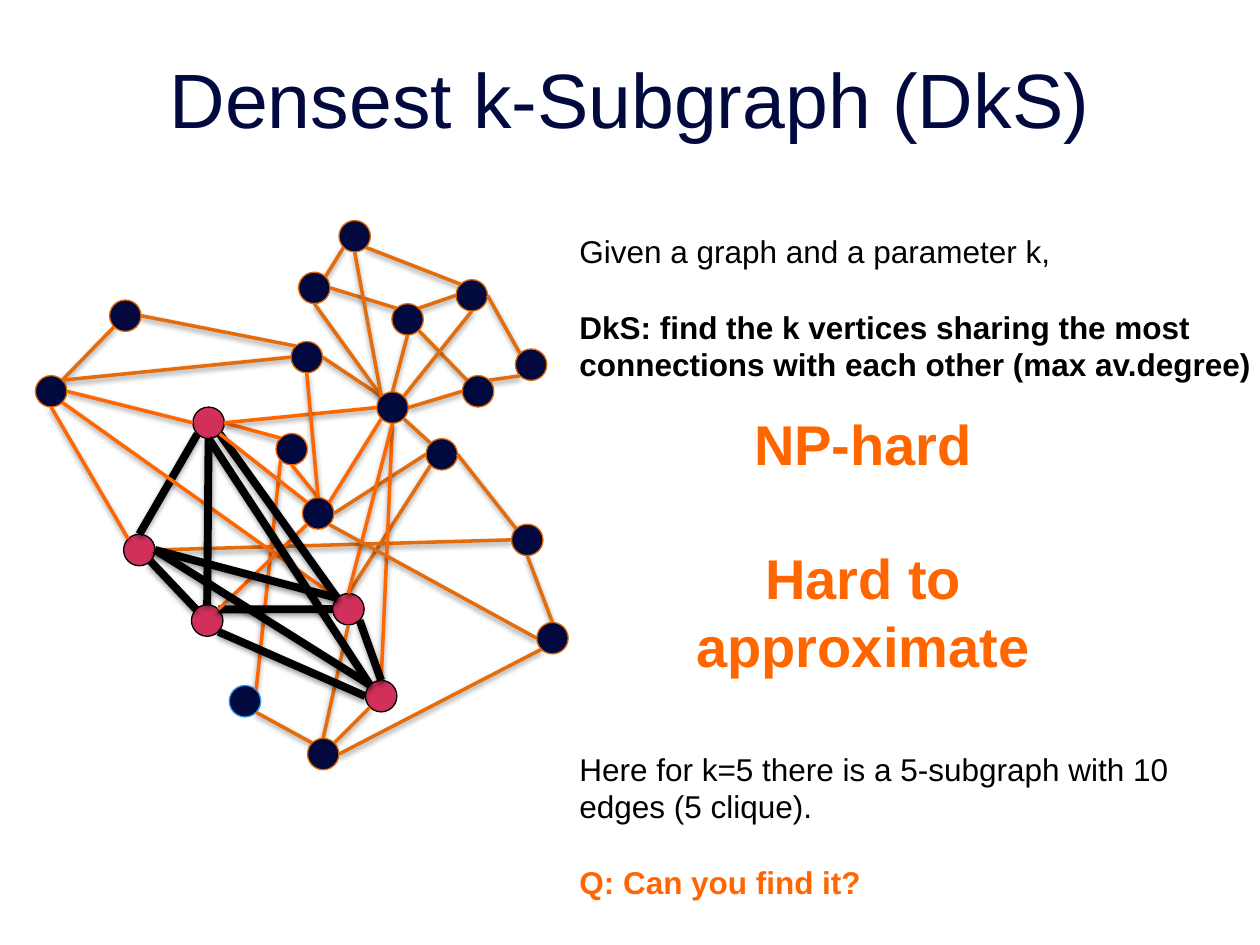
from math import sqrt

from lxml.etree import SubElement
from pptx import Presentation
from pptx.dml.color import RGBColor
from pptx.enum.shapes import MSO_CONNECTOR as Connector, MSO_SHAPE as Shape
from pptx.enum.text import MSO_ANCHOR as Anchor, PP_ALIGN as Align
from pptx.oxml.ns import qn
from pptx.util import Pt

NAVY, CRIMSON, BLACK = "02093F", "D1305A", "000000"
ORANGE, RUST, SKY = "FF6600", "E46C0A", "2E99EE"

RADIUS = 9
DIAGONAL = RADIUS / sqrt(2)
SITES = {
    "n": (0, -RADIUS), "s": (0, RADIUS), "w": (-RADIUS, 0), "e": (RADIUS, 0),
    "nw": (-DIAGONAL, -DIAGONAL), "ne": (DIAGONAL, -DIAGONAL),
    "sw": (-DIAGONAL, DIAGONAL), "se": (DIAGONAL, DIAGONAL),
}

# Vertex centres, in points
CENTRES = {
    "A": (119.2, 241.6), "B": (79.6, 314.3), "C": (118.4, 354.6),
    "D": (199.1, 348.1), "E": (217.8, 397.8), "F": (166.7, 256.7),
    "G": (181.8, 293.4), "H": (140, 400.7), "I": (29.2, 223.6),
    "J": (252.4, 259.6), "K": (301.3, 308.5), "L": (184.7, 430.9),
    "M": (315.7, 364.7), "N": (175.3, 204.1), "O": (224.3, 232.9),
    "P": (71.6, 180.4), "Q": (232.9, 182.5), "R": (273.2, 223.6),
    "S": (179.6, 164.5), "T": (269.6, 168.8), "U": (303.5, 208.4),
    "V": (202.7, 135),
}
CLIQUE = "ABCDE"
OUTLINES = {"F": ORANGE, "G": ORANGE, "H": SKY}

# Line styles: colour and width
PLAIN, BRIGHT, HEAVY = (RUST, 2), (ORANGE, 2), (BLACK, 4.5)

# Runs of edges from back to front; each end is a vertex and its side
EDGES = [
    (BRIGHT, "A e-F nw, F sw-H ne, I e-A w"),
    (HEAVY, "B se-C nw, A sw-B n"),
    (PLAIN, "J e-K nw, K s-M n, D s-L n, G e-J w, J sw-D n, H se-L nw"),
    (HEAVY, "C ne-D w"),
    (PLAIN, "B e-K w"),
    (BRIGHT, "I s-B nw, I se-D nw"),
    (PLAIN, "N e-O nw"),
    (BRIGHT, "O s-E n"),
    (PLAIN, "P e-N nw, O se-J nw, I ne-P sw"),
    (BRIGHT, "G sw-C ne, A e-O w, O s-D n"),
    (HEAVY, "D nw-B e, D nw-A se, E n-D se, E nw-A s, E w-C se, B e-E nw, C n-A s"),
    (PLAIN, "L ne-E sw, L e-M sw, G se-M w"),
    (BRIGHT, "G n-F s, G n-N s, G nw-A se, G ne-O sw"),
    (PLAIN, "I ne-N w, Q se-R nw, S e-Q nw, S s-O nw, Q s-O n, O e-R w, T e-U nw, "
            "V se-T nw, S ne-V sw, Q ne-T w, R ne-U sw, O ne-T s, V s-O nw"),
]


def rgb(value):
    return RGBColor.from_string(value)


def site_position(end):
    """Turn an end such as "A ne" into a point on that vertex's rim."""
    vertex, side = end.split()
    return [Pt(centre + offset) for centre, offset in zip(CENTRES[vertex], SITES[side])]


class SlideBuilder:
    font_name = "Arial"
    line_factor = 1.2

    def __init__(self, slide):
        self.slide = slide
        self.graph = slide.shapes.add_group_shape()

    def add_run(self, paragraph, text, size, color, bold=False):
        run = paragraph.add_run()
        run.text = text
        run.font.name = self.font_name
        run.font.size = Pt(size)
        run.font.bold = bold
        run.font.color.rgb = rgb(color)

    def title(self, text):
        shape = self.slide.shapes.title
        shape.left, shape.top, shape.width, shape.height = Pt(36), Pt(21.6), Pt(648), Pt(90)
        frame = shape.text_frame
        frame.vertical_anchor = Anchor.TOP
        frame.margin_top = Pt(8)
        paragraph = frame.paragraphs[0]
        paragraph.alignment = Align.CENTER
        self.add_run(paragraph, text, 44, NAVY)

    def text(self, box, size, lines, align=Align.LEFT):
        """Add paragraphs set one line apart; each is text, colour and bold."""
        frame = self.slide.shapes.add_textbox(*map(Pt, box)).text_frame
        frame.word_wrap = True
        pitch = Pt(size * self.line_factor)
        for index, (text, color, bold) in enumerate(lines):
            paragraph = frame.add_paragraph() if index else frame.paragraphs[0]
            paragraph.alignment = align
            paragraph.line_spacing = pitch
            if index:
                paragraph.space_before = pitch
            self.add_run(paragraph, text, size, color, bold)

    def vertex(self, centre, fill, outline):
        x, y = centre
        shape = self.graph.shapes.add_shape(
            Shape.OVAL, Pt(x - RADIUS), Pt(y - RADIUS), Pt(2 * RADIUS), Pt(2 * RADIUS))
        shape.shadow.inherit = False
        shape.fill.solid()
        shape.fill.fore_color.rgb = rgb(fill)
        shape.line.color.rgb = rgb(outline)
        shape.line.width = Pt(0.75)

    def edge(self, start, end, color, width):
        connector = self.graph.shapes.add_connector(
            Connector.STRAIGHT, *site_position(start), *site_position(end))
        connector.line.color.rgb = rgb(color)
        connector.line.width = Pt(width)
        self.soft_shadow(connector)

    def soft_shadow(self, connector):
        effects = SubElement(connector._element.spPr, qn("a:effectLst"))
        shadow = SubElement(effects, qn("a:outerShdw"), blurRad="40000", dist="20000",
                            dir="5400000", rotWithShape="0")
        color = SubElement(shadow, qn("a:srgbClr"), val=BLACK)
        SubElement(color, qn("a:alpha"), val="38000")


def main():
    presentation = Presentation()
    presentation.slide_width, presentation.slide_height = Pt(720), Pt(540)
    builder = SlideBuilder(presentation.slides.add_slide(presentation.slide_layouts[5]))

    builder.title("Densest k-Subgraph (DkS)")
    for name, centre in CENTRES.items():
        if name in CLIQUE:
            builder.vertex(centre, CRIMSON, BLACK)
        else:
            builder.vertex(centre, NAVY, OUTLINES.get(name, RUST))
    for style, edges in EDGES:
        for edge in edges.split(", "):
            builder.edge(*edge.split("-"), *style)

    builder.text((324, 129, 404.6, 116.6), 18, [
        ("Given a graph and a parameter k,", BLACK, False),
        ("DkS: find the k vertices sharing the most connections with each other "
         "(max av.degree)", BLACK, True),
    ])
    builder.text((324, 424.8, 360, 94.3), 18, [
        ("Here for k=5 there is a 5-subgraph with 10 edges (5 clique).", BLACK, False),
        ("Q: Can you find it?", ORANGE, True),
    ])
    builder.text((342.7, 230.4, 301, 123.8), 32, [
        ("NP-hard", ORANGE, True),
        ("Hard to approximate", ORANGE, True),
    ], Align.CENTER)
    presentation.save("out.pptx")


if __name__ == "__main__":
    main()
